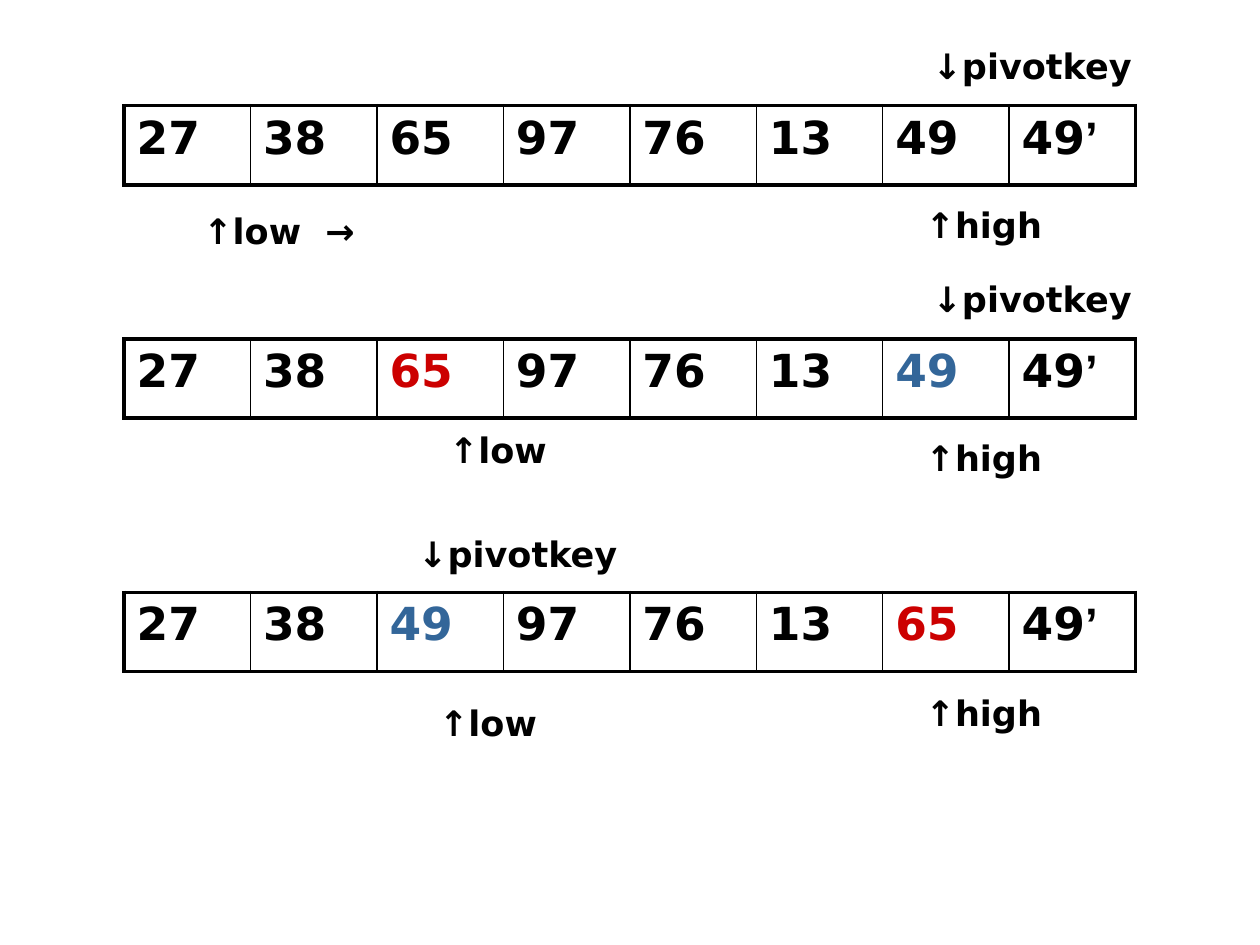
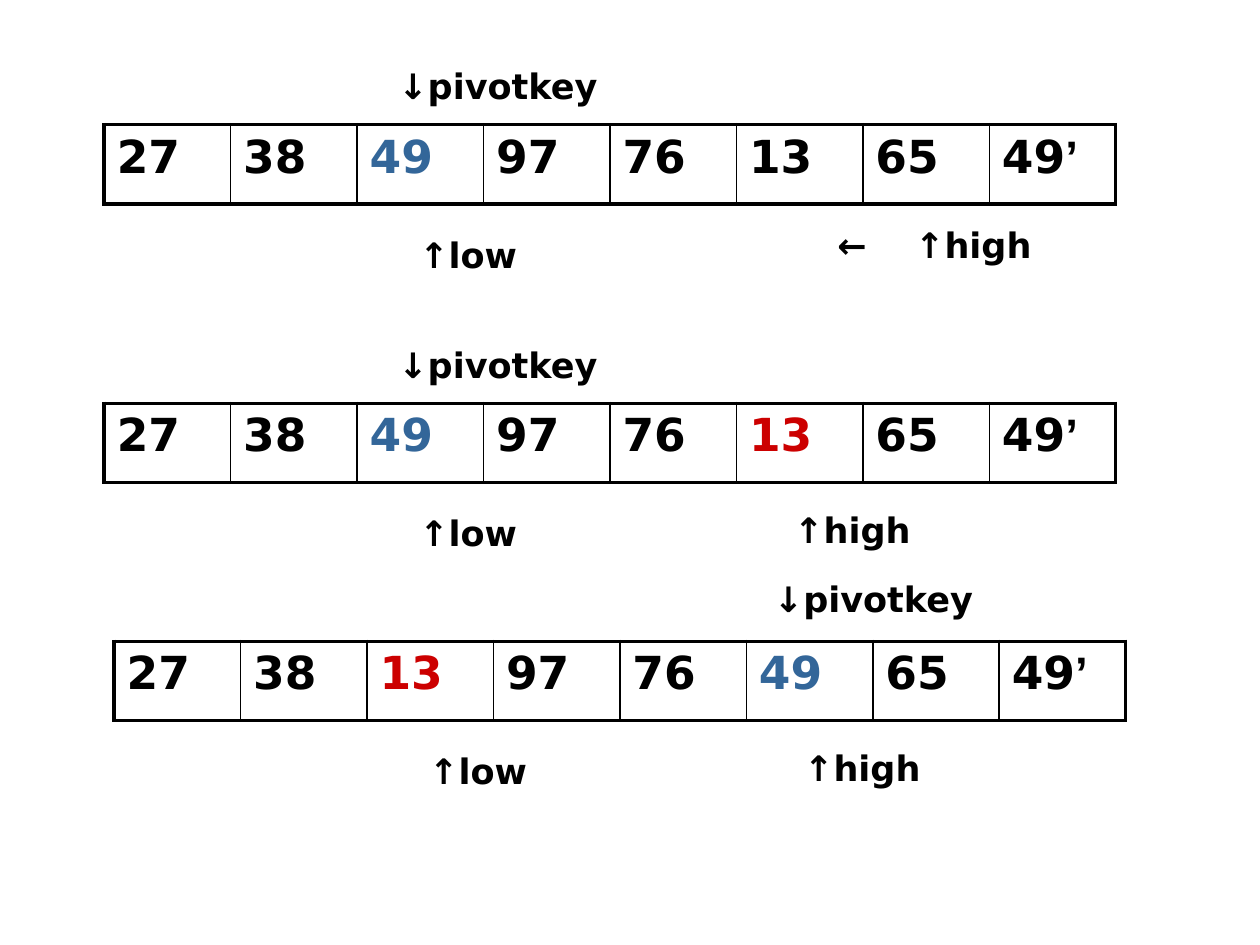
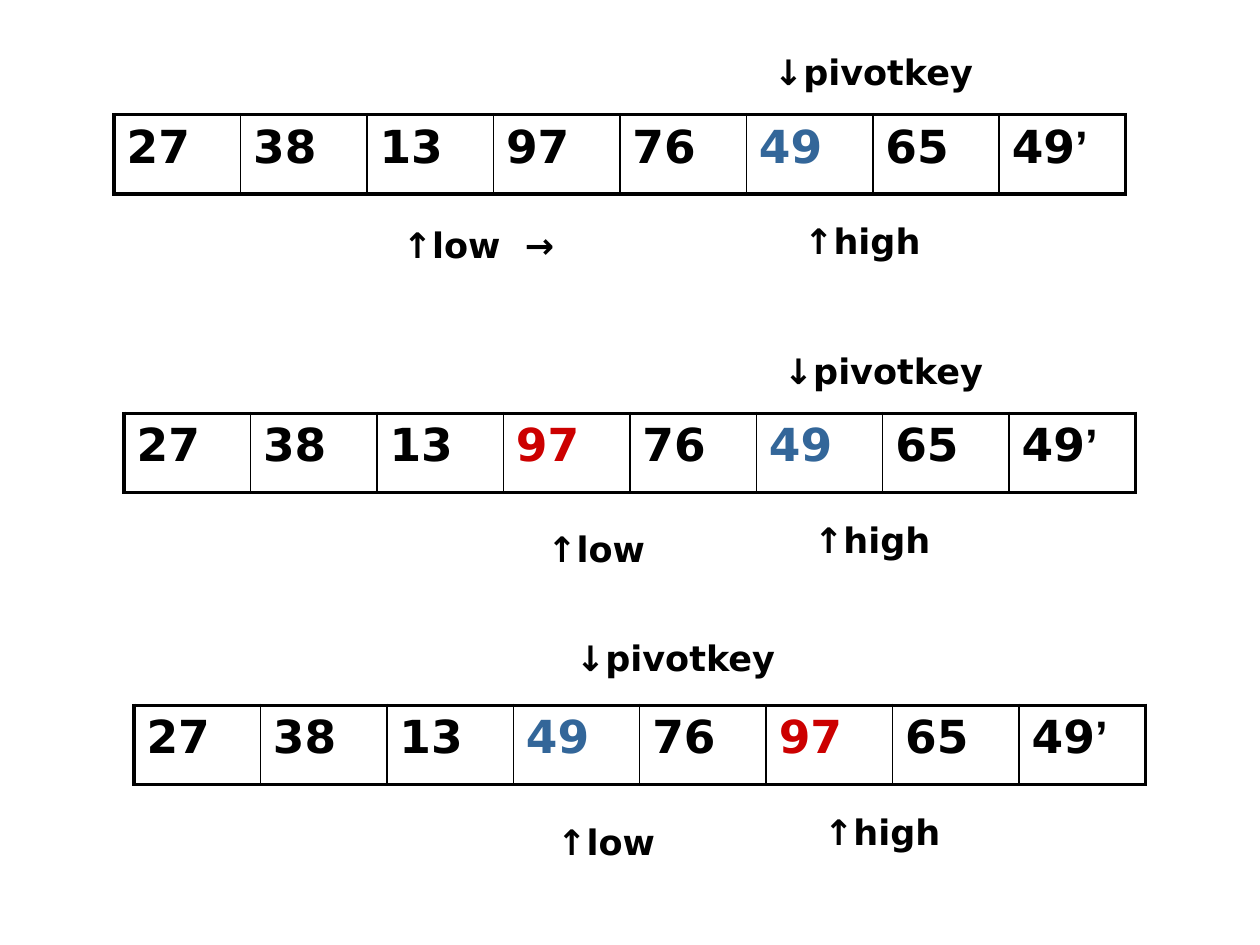
from typing import NamedTuple, Optional

from lxml.etree import SubElement
from pptx import Presentation
from pptx.dml.color import RGBColor
from pptx.enum.text import MSO_ANCHOR, MSO_AUTO_SIZE, PP_ALIGN
from pptx.oxml.ns import qn
from pptx.util import Cm, Pt

COLORS = {"ink": "000000", "pivot": "336699", "swap": "CC0000"}
FACE = "DejaVu Sans"
CELL_W, ROW_H, TAG_H = 2.55, 1.6, 1.09
THIN, THICK = Pt(1), Pt(2.25)

PIVOT, LOW, HIGH = "↓pivotkey", "↑low", "↑high"
LOW_GO, HIGH_GO = "↑low\t→", "←\t↑high"
WIDTHS = {PIVOT: 4.62, LOW: 2.64, HIGH: 2.97, LOW_GO: 3.84, HIGH_GO: 4.65}
TABS = {LOW_GO: 2.46, HIGH_GO: 1.57}


class Tag(NamedTuple):
    """A pointer label, placed from the top left corner of its row."""
    text: str
    dx: float
    dy: float


class Row(NamedTuple):
    """One state of the list with its pointers and marked cells."""
    x: float
    y: float
    nums: str
    tags: tuple[Tag, ...]
    pivot: Optional[int] = None
    swap: Optional[int] = None


SLIDES = [
    [
        Row(2.5, 2.13, "27 38 65 97 76 13 49 49’",
            (Tag(PIVOT, 16, -1.35), Tag(LOW_GO, 1.22, 1.98), Tag(HIGH, 15.85, 1.85))),
        Row(2.5, 6.83, "27 38 65 97 76 13 49 49’",
            (Tag(PIVOT, 16, -1.35), Tag(LOW, 6.22, 1.7), Tag(HIGH, 15.85, 1.85)), 6, 2),
        Row(2.5, 11.94, "27 38 49 97 76 13 65 49’",
            (Tag(PIVOT, 5.63, -1.33), Tag(LOW, 6.02, 2.08), Tag(HIGH, 15.85, 1.88)), 2, 6),
    ],
    [
        Row(2.1, 2.51, "27 38 49 97 76 13 65 49’",
            (Tag(PIVOT, 5.63, -1.33), Tag(LOW, 6.02, 2.08), Tag(HIGH_GO, 14.4, 1.88)), 2),
        Row(2.1, 8.13, "27 38 49 97 76 13 65 49’",
            (Tag(PIVOT, 5.63, -1.33), Tag(LOW, 6.02, 2.06), Tag(HIGH, 13.6, 2)), 2, 5),
        Row(2.3, 12.93, "27 38 13 97 76 49 65 49’",
            (Tag(PIVOT, 13, -1.4), Tag(LOW, 6.02, 2.06), Tag(HIGH, 13.6, 2)), 5, 2),
    ],
    [
        Row(2.3, 2.31, "27 38 13 97 76 49 65 49’",
            (Tag(PIVOT, 13, -1.4), Tag(LOW_GO, 5.44, 2.08), Tag(HIGH, 13.6, 2)), 5),
        Row(2.5, 8.33, "27 38 13 97 76 49 65 49’",
            (Tag(PIVOT, 13, -1.4), Tag(LOW, 8.2, 2.18), Tag(HIGH, 13.6, 2)), 5, 3),
        Row(2.7, 14.22, "27 38 13 49 76 97 65 49’",
            (Tag(PIVOT, 8.61, -1.5), Tag(LOW, 8.2, 2.2), Tag(HIGH, 13.6, 2)), 3, 5),
    ],
]


def style(para, size: float, color: str = "ink") -> None:
    """Set the shared bold face on a paragraph."""
    font = para.font
    font.name, font.size, font.bold = FACE, Pt(size), True
    font.color.rgb = RGBColor.from_string(COLORS[color])
    SubElement(para._p.pPr.find(qn("a:defRPr")), qn("a:ea"), typeface=FACE)


def edge(cell, sides: dict[str, int]) -> None:
    """Draw the borders of a cell, given their widths by side."""
    props = cell._tc.get_or_add_tcPr()
    for side, width in sides.items():
        line = SubElement(props, qn(f"a:ln{side}"), w=str(int(width)))
        fill = SubElement(line, qn("a:solidFill"))
        SubElement(fill, qn("a:srgbClr"), val=COLORS["ink"])


def draw_tag(slide, row: Row, tag: Tag) -> None:
    """Add one pointer label beside its row."""
    box = slide.shapes.add_textbox(Cm(row.x + tag.dx), Cm(row.y + tag.dy),
                                   Cm(WIDTHS[tag.text]), Cm(TAG_H))
    frame = box.text_frame
    frame.vertical_anchor = MSO_ANCHOR.BOTTOM
    frame.auto_size = MSO_AUTO_SIZE.SHAPE_TO_FIT_TEXT
    para = frame.paragraphs[0]
    para.add_run().text = tag.text
    stop = TABS.get(tag.text)
    frame.word_wrap = stop is not None
    if stop:
        frame.margin_left, frame.margin_right = Cm(0.38), 0
        para.alignment = PP_ALIGN.LEFT
        tabs = SubElement(para._p.get_or_add_pPr(), qn("a:tabLst"))
        SubElement(tabs, qn("a:tab"), pos=str(int(Cm(stop))), algn="l")
    else:
        para.alignment = PP_ALIGN.CENTER
    style(para, 20)


def draw_row(slide, row: Row) -> None:
    """Add the table of one list state and its labels."""
    nums = row.nums.split()
    last = len(nums) - 1
    table = slide.shapes.add_table(1, len(nums), Cm(row.x), Cm(row.y),
                                   Cm(CELL_W * len(nums)), Cm(ROW_H)).table
    table.first_row = table.horz_banding = False
    for i, num in enumerate(nums):
        table.columns[i].width = Cm(CELL_W)
        cell = table.cell(0, i)
        edge(cell, {"L": THIN if i else THICK, "R": THIN if i < last else THICK,
                    "T": THICK, "B": THICK})
        cell.fill.background()
        para = cell.text_frame.paragraphs[0]
        para.add_run().text = num.rstrip("’")
        if num.endswith("’"):
            mark = para.add_run()
            mark.text, mark.font.name = "’", "Arial"
        color = {row.pivot: "pivot", row.swap: "swap"}.get(i, "ink")
        style(para, 26, color)
    for tag in row.tags:
        draw_tag(slide, row, tag)


def main() -> None:
    """Build the deck."""
    deck = Presentation()
    deck.slide_width, deck.slide_height = Cm(25.4), Cm(19.05)
    for rows in SLIDES:
        slide = deck.slides.add_slide(deck.slide_layouts[6])
        for row in rows:
            draw_row(slide, row)
    deck.save("out.pptx")


if __name__ == "__main__":
    main()
